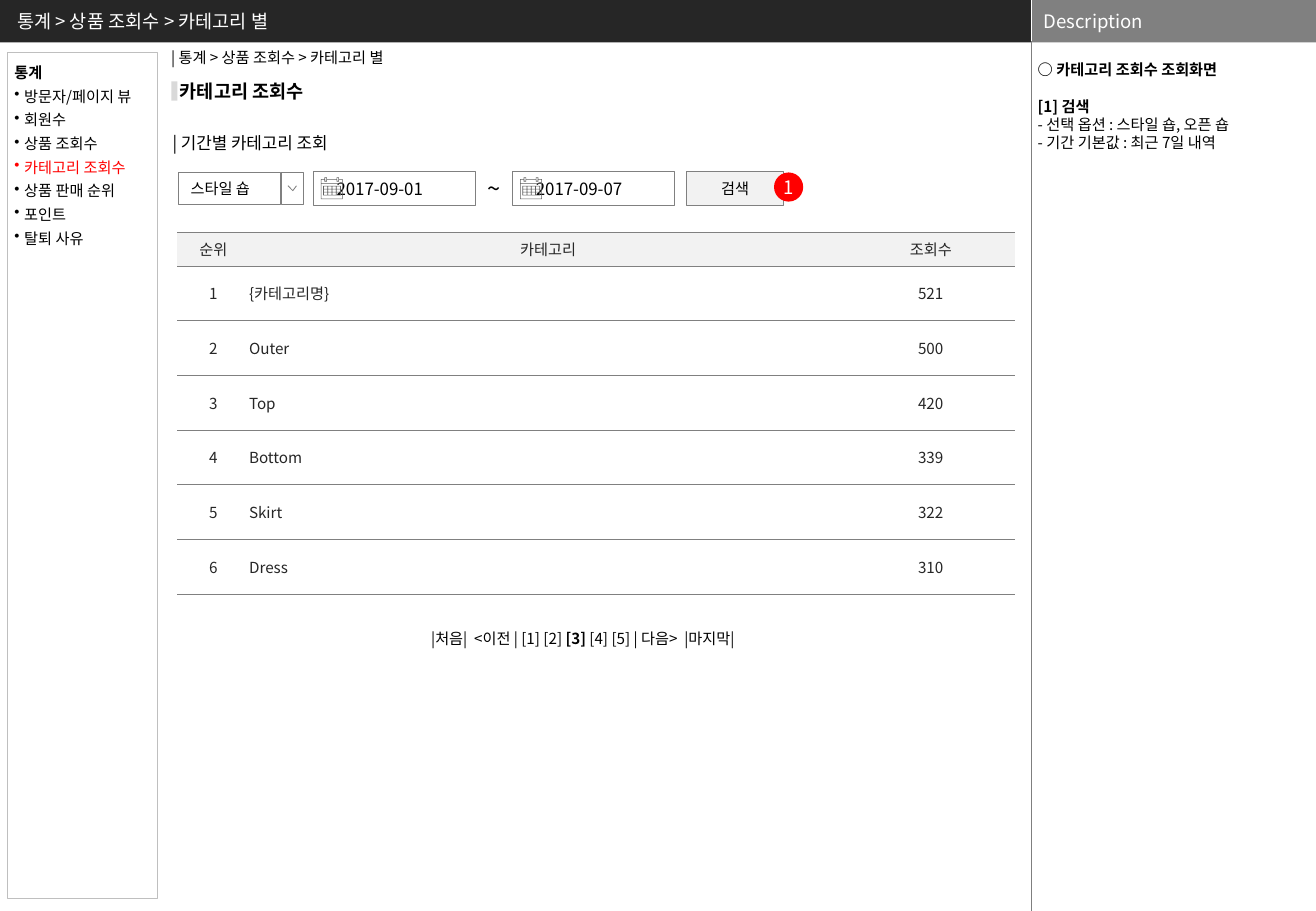
from itertools import product

from pptx import Presentation
from pptx.dml.color import RGBColor
from pptx.enum.shapes import MSO_CONNECTOR as Connector, MSO_SHAPE as Shape
from pptx.enum.text import MSO_ANCHOR as Anchor, PP_ALIGN as Align
from pptx.oxml.ns import qn
from pptx.util import Inches, Pt
from lxml.etree import SubElement

GRAY = "808080"


def color(value):
    return RGBColor.from_string(value)


def apply(target, values):
    for name, value in values.items():
        setattr(target, name, value)


def box_points(left, top, right, bottom):
    return [(left, top), (right, top), (right, bottom), (left, bottom)]


class Page:
    font_name = "Noto Sans CJK KR"

    def __init__(self, slide):
        self.slide = slide
        self.shapes = slide.shapes

    def run(self, paragraph, text, size=9, ink="000000", bold=False):
        run = paragraph.add_run()
        run.text = text
        apply(run.font, {"size": Pt(size), "bold": bold, "name": self.font_name})
        run.font.color.rgb = color(ink)
        SubElement(run._r.get_or_add_rPr(), qn("a:ea"), typeface=self.font_name)

    def paragraphs(self, frame, content, inset=(0.1, 0.05, 0.1, 0.05),
                   anchor=Anchor.TOP, **layout):
        left, top, right, bottom = map(Inches, inset)
        apply(frame, {"word_wrap": True, "vertical_anchor": anchor,
                      "margin_left": left, "margin_top": top,
                      "margin_right": right, "margin_bottom": bottom})
        for index, runs in enumerate(content):
            paragraph = frame.add_paragraph() if index else frame.paragraphs[0]
            apply(paragraph, {"alignment": Align.LEFT, **layout})
            for text, style in runs:
                self.run(paragraph, text, **style)
        return frame.paragraphs

    def text(self, place, content, **layout):
        box = self.shapes.add_textbox(*map(Inches, place))
        return self.paragraphs(box.text_frame, content, **layout)

    def paint(self, shape, fill=None, line=None, width=0.5):
        shape.shadow.inherit = False
        if fill:
            shape.fill.solid()
            shape.fill.fore_color.rgb = color(fill)
        else:
            shape.fill.background()
        if line:
            shape.line.color.rgb = color(line)
            shape.line.width = Pt(width)
        else:
            shape.line.fill.background()
        return shape

    def shape(self, place, kind=Shape.RECTANGLE, **look):
        return self.paint(self.shapes.add_shape(kind, *map(Inches, place)), **look)

    def label(self, place, text, style, kind=Shape.RECTANGLE, fill="FFFFFF",
              line=None, **layout):
        shape = self.shape(place, kind, fill=fill, line=line)
        self.paragraphs(shape.text_frame, [[(text, style)]], anchor=Anchor.MIDDLE,
                        **layout)

    def line(self, x1, y1, x2, y2, ink):
        line = self.shapes.add_connector(
            Connector.STRAIGHT, *map(Inches, (x1, y1, x2, y2)))
        line.line.color.rgb = color(ink)
        line.line.width = Pt(0.25)
        SubElement(line._element.spPr, qn("a:effectLst"))

    def outline(self, origin, contours, unit=0.01, close=True, **look):
        builder = self.shapes.build_freeform(*contours[0][0], scale=Inches(unit))
        for index, (start, *rest) in enumerate(contours):
            if index:
                builder.move_to(*start)
            builder.add_line_segments(rest, close=close)
        self.paint(builder.convert_to_shape(*map(Inches, origin)), **look)

    def border(self, cell):
        properties = cell._tc.get_or_add_tcPr()
        for index, side in enumerate(("lnL", "lnR", "lnT", "lnB")):
            edge = SubElement(properties, qn(f"a:{side}"), w=str(Pt(0.5)))
            if side in ("lnT", "lnB"):
                fill = SubElement(edge, qn("a:solidFill"))
                SubElement(fill, qn("a:srgbClr"), val=GRAY)
            else:
                SubElement(edge, qn("a:noFill"))
            properties.insert(index, edge)

    def table(self, place, widths, heights, rows):
        table = self.shapes.add_table(
            len(rows), len(widths), *map(Inches, place)).table
        apply(table, {"first_row": False, "horz_banding": False})
        for column, width in zip(table.columns, widths):
            column.width = Inches(width)
        for row, height in zip(table.rows, heights):
            row.height = Inches(height)
        for r, c in product(range(len(rows)), range(len(widths))):
            cell = table.cell(r, c)
            apply(cell, {"margin_left": 0, "margin_right": 0, "margin_top": 0,
                         "margin_bottom": 0, "vertical_anchor": Anchor.MIDDLE})
            cell.fill.solid()
            cell.fill.fore_color.rgb = color("FFFFFF" if r else "F2F2F2")
            self.border(cell)
            paragraph = cell.text_frame.paragraphs[0]
            paragraph.alignment = Align.LEFT if r and c == 1 else Align.CENTER
            self.run(paragraph, rows[r][c], ink="262626")


def header(page):
    heading = {"size": 11, "ink": "FFFFFF"}
    page.label((0, 0, 8.49, 0.35), "통계 > 상품 조회수 > 카테고리 별", heading,
               fill="262626", inset=(0.14, 0.05, 0.1, 0.05))
    page.label((8.49, 0, 2.34, 0.35), "Description", heading, fill=GRAY)
    page.line(8.49, 0, 8.49, 0.35, "FFFFFF")
    page.line(8.49, 0.34, 8.49, 7.5, "7F7F7F")


def description(page):
    bold = {"bold": True}
    notes = page.text((8.5, 0.35, 2.34, 7.15), [
        [("○ 카테고리 조회수 조회화면", bold)],
        [("[1] 검색", bold)],
        [("- 선택 옵션 : 스타일 숍, 오픈 숍", {})],
        [("- 기간 기본값 : 최근 7일 내역", {})],
    ], inset=(0.04, 0.15, 0.04, 0))
    notes[1].space_before = Pt(10.8)


def sidebar(page):
    menu = ["통계", "방문자/페이지 뷰", "회원수", "상품 조회수", "카테고리 조회수",
            "상품 판매 순위", "포인트", "탈퇴 사유"]
    styles = {"통계": {"bold": True}, "카테고리 조회수": {"ink": "FF0000"}}
    panel = page.shape((0.06, 0.43, 1.24, 6.97), line="BFBFBF", width=0.75)
    entries = page.paragraphs(panel.text_frame,
                              [[(item, styles.get(item, {}))] for item in menu],
                              inset=(0.06, 0.05, 0, 0.05), line_spacing=Pt(14))
    for entry in entries[1:]:
        properties = entry._p.get_or_add_pPr()
        properties.set("marL", str(Inches(0.08)))
        properties.set("indent", str(Inches(-0.08)))
        SubElement(properties, qn("a:buChar"), char="•")


def titles(page):
    flush = (0, 0, 0, 0)
    page.text((1.31, 0.35, 2.27, 0.25), [[("| 통계 > 상품 조회수 > 카테고리 별", {})]])
    page.text((1.48, 0.66, 1.3, 0.19),
              [[("카테고리 조회수", {"size": 11, "bold": True})]], inset=flush)
    page.shape((1.41, 0.67, 0.05, 0.16), fill="D9D9D9")
    page.text((1.42, 1.09, 1.6, 0.17),
              [[("| 기간별 카테고리 조회", {"size": 10})]], inset=flush)


def search_bar(page):
    case = [(0, 3), (6, 3), (6, 0), (10, 0), (10, 3), (26, 3), (26, 0), (30, 0),
            (30, 3), (36, 3), (36, 36), (0, 36)]
    band = [(1, 4), (6, 4), (6, 7), (10, 7), (10, 4), (26, 4), (26, 7), (30, 7),
            (30, 4), (35, 4), (35, 10), (1, 10)]
    rings = [box_points(x, 1, x + 2, 6) for x in (7, 27)]
    days = [box_points(5 + 7 * c, 15 + 5 * r, 11 + 7 * c, 19 + 5 * r)
            for r, c in product(range(3), range(4))]
    calendar = [case, band, *rings, box_points(1, 11, 35, 35),
                box_points(4, 14, 33, 30), *days]
    for left, date in ((2.58, "2017-09-01"), (4.22, "2017-09-07")):
        page.label((left, 1.41, 1.33, 0.28), date, {"size": 10}, line=GRAY,
                   inset=(0.19, 0.04, 0.04, 0.04))
        page.outline((left + 0.06, 1.46), calendar, unit=0.005, fill="5F5F5F")
    page.text((3.91, 1.38, 0.4, 0.34), [[("~", {"size": 14})]])
    page.label((5.65, 1.41, 0.8, 0.28), "검색", {}, fill="F2F2F2", line=GRAY,
               inset=(0.04,) * 4, alignment=Align.CENTER)
    page.label((6.37, 1.42, 0.24, 0.24), "1", {"size": 11, "ink": "FFFFFF"},
               kind=Shape.OVAL, fill="FF0000", inset=(0,) * 4,
               alignment=Align.CENTER)
    page.label((1.47, 1.42, 0.84, 0.26), "스타일 숍", {}, line=GRAY)
    page.shape((2.32, 1.42, 0.18, 0.26), fill="FFFFFF", line=GRAY)
    page.outline((2.37, 1.53), [[(7, 0), (4, 4), (0, 0)]], close=False,
                 fill="FFFFFF", line=GRAY)


def ranking(page):
    views = [("{카테고리명}", "521"), ("Outer", "500"), ("Top", "420"),
             ("Bottom", "339"), ("Skirt", "322"), ("Dress", "310")]
    rows = [("순위", "카테고리", "조회수")]
    rows += [(str(rank), *view) for rank, view in enumerate(views, 1)]
    page.table((1.46, 1.91, 6.89, 2.96), (0.59, 4.92, 1.38),
               [0.28] + [0.45] * len(views), rows)
    page.text((3.45, 5.13, 3.1, 0.25), [[
        ("|처음|  <이전 | [1] [2] ", {}), ("[3]", {"bold": True}),
        (" [4] [5] | 다음>  |마지막|", {})]])


def main():
    deck = Presentation()
    apply(deck, {"slide_width": Inches(10.83), "slide_height": Inches(7.5)})
    page = Page(deck.slides.add_slide(deck.slide_layouts[6]))
    for section in (header, description, titles, sidebar, search_bar, ranking):
        section(page)
    deck.save("out.pptx")


if __name__ == "__main__":
    main()
